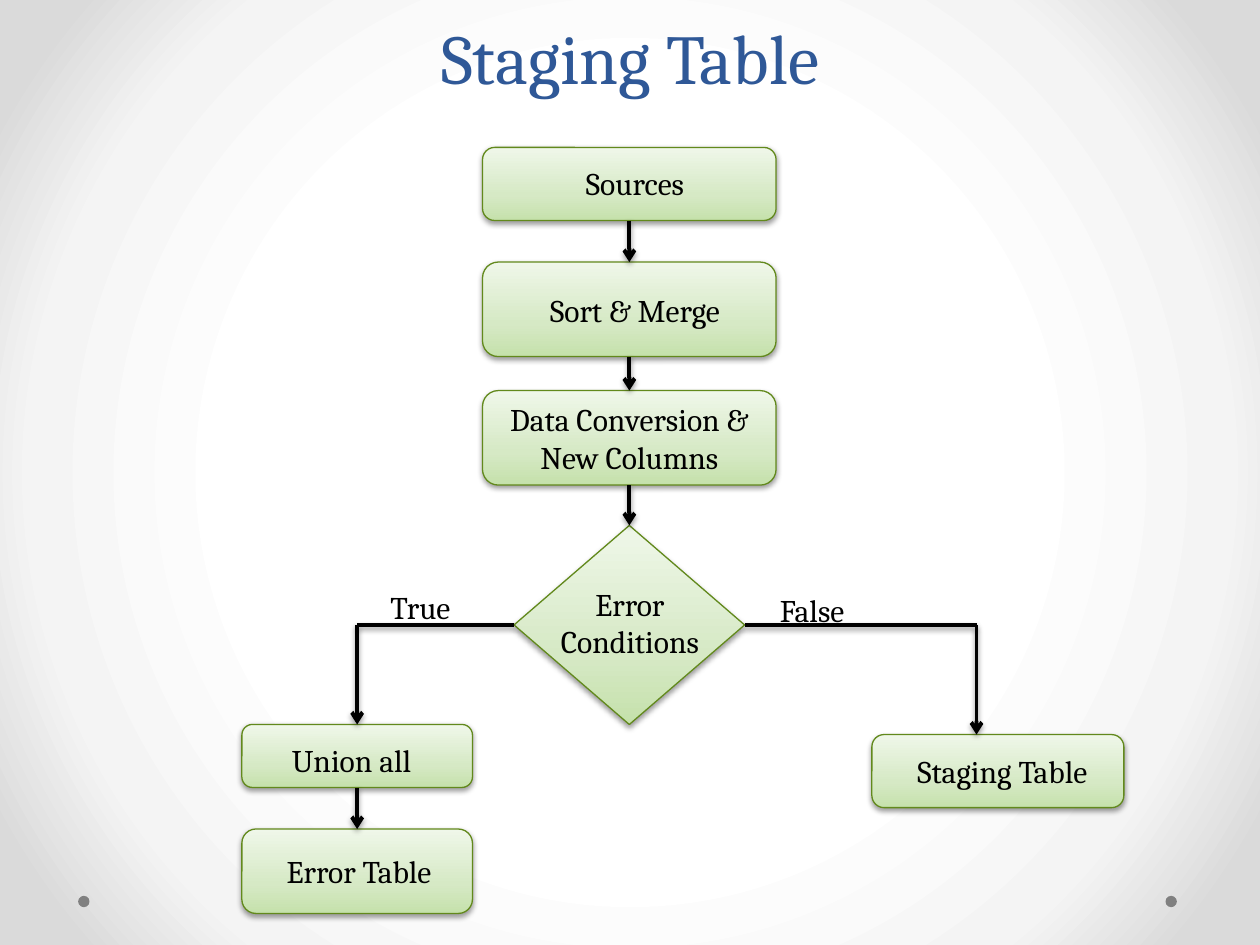
import lxml.etree
import pptx
import pptx.dml.color
import pptx.enum.shapes
import pptx.enum.text
import pptx.oxml.ns
import pptx.util

Inches = pptx.util.Inches
Pt = pptx.util.Pt
RGBColor = pptx.dml.color.RGBColor
ShapeKind = pptx.enum.shapes.MSO_SHAPE
Align = pptx.enum.text.PP_ALIGN
Anchor = pptx.enum.text.MSO_ANCHOR
qn = pptx.oxml.ns.qn

FONT = "Cambria"
TITLE_BLUE = RGBColor(0x2F, 0x58, 0x97)
BLACK = RGBColor(0, 0, 0)
DOT_GRAY = RGBColor(0x80, 0x80, 0x80)
NODE_LINE = RGBColor(0x62, 0x89, 0x1C)
NODE_STOPS = [
    (0, RGBColor(0xC5, 0xE1, 0xAB)),
    (35, RGBColor(0xD6, 0xE9, 0xC5)),
    (100, RGBColor(0xEF, 0xF7, 0xE9)),
]
PAGE_STOPS = [
    (50, RGBColor(0xFF, 0xFF, 0xFF)),
    (76, RGBColor(0xF4, 0xF4, 0xF4)),
    (92, RGBColor(0xDA, 0xDA, 0xDA)),
]
TOP, LEFT, BOTTOM, RIGHT = range(4)


def add_element(parent, tag, **attributes):
    return lxml.etree.SubElement(parent, qn(tag), attributes)


def add_gradient(parent, stops):
    gradient = add_element(parent, "a:gradFill", rotWithShape="1")
    stop_list = add_element(gradient, "a:gsLst")
    for position, color in stops:
        stop = add_element(stop_list, "a:gs", pos=str(position * 1000))
        add_element(stop, "a:srgbClr", val=str(color))
    return gradient


def add_shadow(item):
    effects = add_element(item._element.spPr, "a:effectLst")
    shadow = add_element(effects, "a:outerShdw", blurRad="40000", dist="20000",
                         dir="5400000", rotWithShape="0")
    color = add_element(shadow, "a:srgbClr", val=str(BLACK))
    add_element(color, "a:alpha", val="38000")


def paint_background(page):
    page.background.fill.solid()
    properties = page._element.cSld.find(qn("p:bg")).find(qn("p:bgPr"))
    properties.remove(properties[0])
    gradient = add_gradient(properties, PAGE_STOPS)
    circle = add_element(gradient, "a:path", path="circle")
    add_element(circle, "a:fillToRect", l="50000", t="50000", r="50000", b="50000")
    properties.insert(0, gradient)


def write_text(frame, text, size=18, color=BLACK, align=Align.CENTER):
    frame.word_wrap = True
    frame.text = text
    for para in frame.paragraphs:
        para.alignment = align
        for span in para.runs:
            span.font.name = FONT
            span.font.size = Pt(size)
            span.font.color.rgb = color


def add_label(page, text, left, top, width, height=0.4, **style):
    box = page.shapes.add_textbox(Inches(left), Inches(top), Inches(width), Inches(height))
    write_text(box.text_frame, text, **style)
    return box


def add_title(page, text):
    frame = add_label(page, text, 0.5, 0, 9, 0.83, size=40, color=TITLE_BLUE).text_frame
    frame.vertical_anchor = Anchor.BOTTOM
    frame.paragraphs[0].line_spacing = Pt(58)


def add_dot(page, left):
    dot = page.shapes.add_shape(ShapeKind.OVAL, Inches(left), Inches(7.11),
                                Inches(0.09), Inches(0.09))
    dot.fill.solid()
    dot.fill.fore_color.rgb = DOT_GRAY
    dot.line.fill.background()
    dot.shadow.inherit = False


def add_node(page, left, top, width, height, kind=ShapeKind.ROUNDED_RECTANGLE):
    node = page.shapes.add_shape(kind, Inches(left), Inches(top), Inches(width), Inches(height))
    node.line.color.rgb = NODE_LINE
    node.line.width = Pt(0.75)
    properties = node._element.spPr
    gradient = add_gradient(properties, NODE_STOPS)
    add_element(gradient, "a:lin", ang="16200000", scaled="0")
    properties.find(qn("a:prstGeom")).addnext(gradient)
    add_shadow(node)
    return node


def side_point(node, side):
    middle_x = node.left + node.width // 2
    middle_y = node.top + node.height // 2
    return [(middle_x, node.top), (node.left, middle_y),
            (middle_x, node.top + node.height), (node.left + node.width, middle_y)][side]


def add_line(page, start, end, arrow=True):
    line = page.shapes.add_connector(pptx.enum.shapes.MSO_CONNECTOR.STRAIGHT, *start, *end)
    line.line.color.rgb = BLACK
    line.line.width = Pt(2.25)
    if arrow:
        add_element(line.line._get_or_add_ln(), "a:tailEnd", type="arrow")
    add_shadow(line)
    return line


def link_down(page, upper, lower):
    line = add_line(page, side_point(upper, BOTTOM), side_point(lower, TOP))
    line.begin_connect(upper, BOTTOM)
    line.end_connect(lower, TOP)


def add_branch(page, decision, side, target, drop_x):
    start = side_point(decision, side)
    corner = (drop_x, start[1])
    add_line(page, start, corner, arrow=False).begin_connect(decision, side)
    return add_line(page, corner, (drop_x, target.top))


def main():
    """Build the staging table flowchart slide."""
    deck = pptx.Presentation()
    deck.slide_width, deck.slide_height = Inches(10), Inches(7.5)
    page = deck.slides.add_slide(deck.slide_layouts[6])
    paint_background(page)
    for left in (9.25, 0.62):
        add_dot(page, left)
    add_title(page, "Staging Table")

    sources = add_node(page, 3.83, 1.17, 2.33, 0.58)
    merge = add_node(page, 3.83, 2.08, 2.33, 0.75)
    conversion = add_node(page, 3.83, 3.1, 2.33, 0.75)
    write_text(conversion.text_frame, "Data Conversion & New Columns")
    decision = add_node(page, 4.08, 4.17, 1.83, 1.58, ShapeKind.DIAMOND)
    union = add_node(page, 1.92, 5.75, 1.83, 0.5)
    errors = add_node(page, 1.92, 6.58, 1.83, 0.67)
    staging = add_node(page, 6.92, 5.83, 2, 0.58)

    for upper, lower in [(sources, merge), (merge, conversion),
                         (conversion, decision), (union, errors)]:
        link_down(page, upper, lower)
    union_drop = add_branch(page, decision, LEFT, union, side_point(union, TOP)[0])
    union_drop.end_connect(union, TOP)
    add_branch(page, decision, RIGHT, staging, Inches(7.75))

    add_label(page, "Sources", 4, 1.25, 2.08, 0.42)
    add_label(page, "Sort & Merge", 4.08, 2.26, 1.92)
    add_label(page, "Error\nConditions", 3.96, 4.59, 2.08, 0.71)
    add_label(page, "Union all", 2.08, 5.83, 1.42)
    add_label(page, "Error Table", 2.06, 6.71, 1.58)
    add_label(page, "Staging Table", 7.08, 5.92, 1.75)
    add_label(page, "True", 3, 4.62, 0.96, align=Align.LEFT)
    add_label(page, "False", 6.09, 4.64, 0.92, align=Align.LEFT)
    deck.save("out.pptx")


if __name__ == "__main__":
    main()
